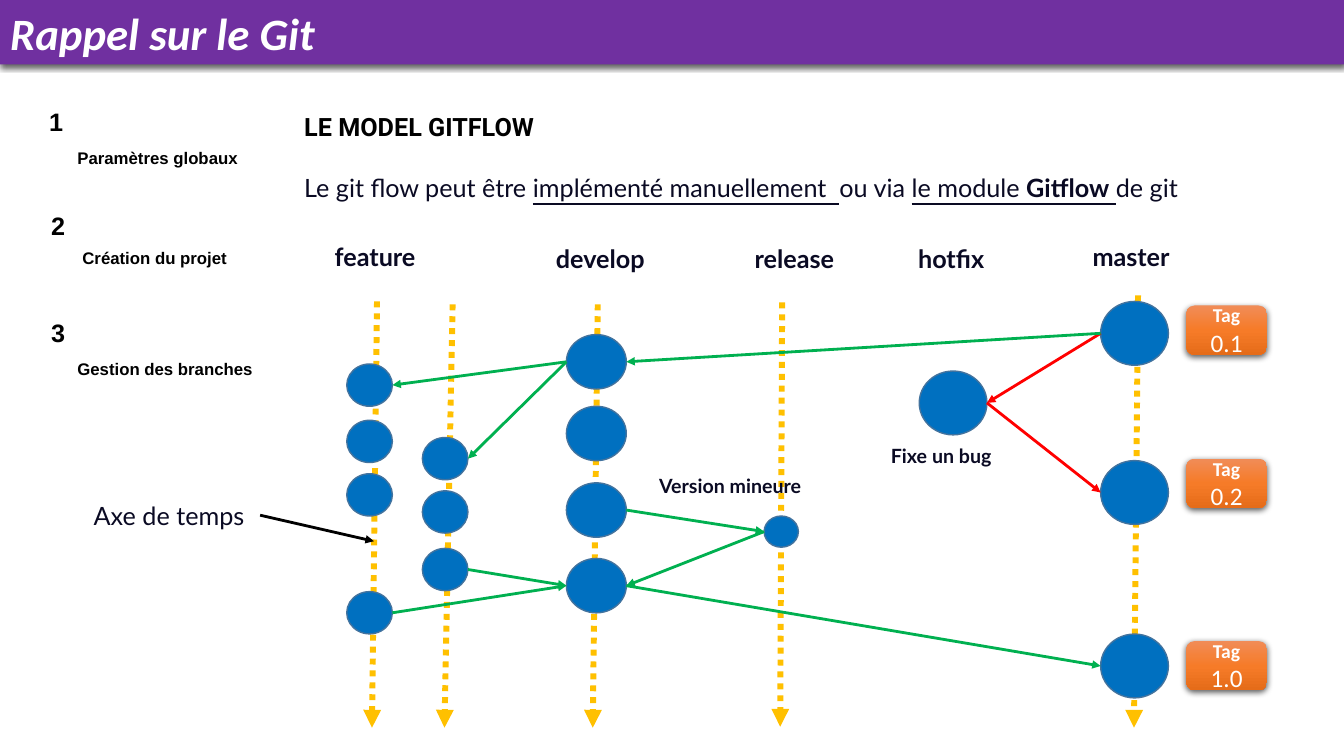
from collections import namedtuple
from copy import deepcopy

from lxml.etree import SubElement
from pptx import Presentation
from pptx.dml.color import RGBColor
from pptx.enum.dml import MSO_LINE
from pptx.enum.shapes import MSO_CONNECTOR as CONNECTOR, MSO_SHAPE as SHAPE
from pptx.enum.text import MSO_ANCHOR as ANCHOR, MSO_AUTO_SIZE as AUTO_SIZE, PP_ALIGN as ALIGN
from pptx.oxml.ns import qn
from pptx.util import Pt

COLORS = {
    "banner": "7030A0", "white": "FFFFFF", "black": "000000", "ink": "0A0A23",
    "commit": "0070C0", "outline": "43739E", "axis": "FFC000",
    "merge": "00B050", "fix": "FF0000",
    "tag_top": "F18C57", "tag_middle": "F67B28", "tag_bottom": "E56C19",
}
Box = namedtuple("Box", "left top width height")
ELLIPSE_SITES = {"left": 2, "right": 6}

# Everything in the graph is measured from the graph's top left corner.
BRANCH_LABELS = [("feature", 2, 1, 75), ("develop", 160, 2, 83.5), ("release", 302, 2, 77),
                 ("hotfix", 418.7, 2, 64), ("master", 543.3, 0.5, 74)]
AXES = [(582.9, 43, 580, 351.8), (328.7, 48, 327.3, 351.1), (197, 49.4, 193.4, 351.8),
        (93.3, 49.4, 87.5, 351.8), (39.3, 47.3, 35.7, 351.8)]
# branch: left, width, height, tops
COMMITS = {
    "master": (556.2, 48.4, 45.6, [47.3, 161, 284.9]),
    "hotfix": (426.6, 48.4, 45.6, [97]),
    "develop": (174.6, 42.8, 38.9, [71, 122.2, 176.9, 230.9]),
    "feature 2": (71.7, 32.6, 30.2, [144.5, 182.6, 223.7]),
    "release": (315.8, 24.5, 22.3, [200.6]),
    "feature 1": (17.7, 32.6, 30.2, [92, 132.2, 170.4, 254.6]),
}
# start branch, commit, side, end branch, commit, side, color
LINKS = [
    ("master", 0, "left", "hotfix", 0, "right", "fix"),
    ("hotfix", 0, "right", "master", 1, "left", "fix"),
    ("master", 0, "left", "develop", 0, "right", "merge"),
    ("develop", 0, "left", "feature 1", 0, "right", "merge"),
    ("develop", 0, "left", "feature 2", 0, "right", "merge"),
    ("develop", 2, "right", "release", 0, "left", "merge"),
    ("release", 0, "left", "develop", 3, "right", "merge"),
    ("feature 2", 2, "right", "develop", 3, "left", "merge"),
    ("feature 1", 3, "right", "develop", 3, "left", "merge"),
    ("develop", 3, "right", "master", 2, "left", "merge"),
]
TAGS = [("0.1", 50.2), ("0.2", 159.6), ("1.0", 289.9)]
# number, label, number left, number top, label left, label top, label width
STEPS = [("1", "Paramètres globaux", 0, 0, 20.1, 29.5, 130),
         ("2", "Création du projet", 1.4, 74.2, 23.7, 100.8, 119),
         ("3", "Gestion des branches", 1.4, 150.5, 20.1, 180, 141)]


def rgb(name):
    return RGBColor.from_string(COLORS[name])


def style_font(font, size, name, color, bold=False):
    font.size, font.name, font.bold = Pt(size), name, bold
    font.color.rgb = rgb(color)


def add_label(slide, text, box, size, name="Lato", color="ink", bold=True):
    label = slide.shapes.add_textbox(*map(Pt, box))
    frame = label.text_frame
    frame.word_wrap = False
    frame.auto_size = AUTO_SIZE.SHAPE_TO_FIT_TEXT
    paragraph = frame.paragraphs[0]
    paragraph.text = text
    style_font(paragraph.font, size, name, color, bold)
    return label


def add_arrow(slide, start, end, color, width=2, dash=None):
    """Draw an arrow between two points given as lengths."""
    arrow = slide.shapes.add_connector(CONNECTOR.STRAIGHT, *start, *end)
    arrow.line.color.rgb = rgb(color)
    arrow.line.width = Pt(width)
    if dash:
        arrow.line.dash_style = dash
    SubElement(arrow.line._get_or_add_ln(), qn("a:tailEnd"), type="triangle")
    SubElement(arrow._element.spPr, qn("a:effectLst"))
    return arrow


def add_drop_shadow(shape):
    shape.shadow.inherit = False
    effects = shape._element.spPr.find(qn("a:effectLst"))
    shadow = SubElement(effects, qn("a:outerShdw"), blurRad=str(Pt(4.5)), dist=str(Pt(1.5)),
                        dir="5400000", algn="ctr", rotWithShape="0")
    color = SubElement(shadow, qn("a:srgbClr"), val=COLORS["black"])
    SubElement(color, qn("a:alpha"), val="63000")


def add_banner(slide, text, box):
    title = slide.shapes.title
    title.left, title.top, title.width, title.height = map(Pt, box)
    title.fill.solid()
    title.fill.fore_color.rgb = rgb("banner")
    add_drop_shadow(title)
    frame = title.text_frame
    frame.auto_size = AUTO_SIZE.NONE
    frame.vertical_anchor = ANCHOR.MIDDLE
    paragraph = frame.paragraphs[0]
    paragraph.text = text
    paragraph.alignment = ALIGN.LEFT
    style_font(paragraph.font, 32, "Calibri", "white", bold=True)
    paragraph.font.italic = True


def add_steps(slide, box):
    for number, label, number_x, number_y, label_x, label_y, width in STEPS:
        number_box = Box(box.left + number_x, box.top + number_y, 24.5, 29)
        label_box = Box(box.left + label_x, box.top + label_y, width, 21.8)
        add_label(slide, number, number_box, 18, "Arial", "black")
        add_label(slide, label, label_box, 12, "Arial", "black")


def add_introduction(slide, box):
    frame = slide.shapes.add_textbox(*map(Pt, box)).text_frame
    frame.word_wrap = True
    heading = frame.paragraphs[0]
    heading.text = "LE MODEL GITFLOW"
    style_font(heading.font, 18, "Roboto", "black", bold=True)
    sentence = frame.add_paragraph()
    sentence.space_before = Pt(21.6)
    style_font(sentence.font, 18, "Lato", "ink")
    for text, underline, bold in [
        ("Le git flow peut être ", False, False), ("implémenté manuellement  ", True, False),
        ("ou via ", False, False), ("le module ", True, False), ("Gitflow", True, True),
        (" ", True, False), ("de git", False, False),
    ]:
        run = sentence.add_run()
        run.text = text
        run.font.underline, run.font.bold = underline, bold


def add_commit(slide, box):
    commit = slide.shapes.add_shape(SHAPE.OVAL, *map(Pt, box))
    commit.shadow.inherit = False
    commit.fill.solid()
    commit.fill.fore_color.rgb = rgb("commit")
    commit.line.color.rgb = rgb("outline")
    commit.line.width = Pt(1)
    return commit


def add_link(slide, start, start_side, end, end_side, color):
    """Join the sides of two commits with an arrow glued at both ends."""
    points = [(commit.left + (commit.width if side == "right" else 0),
               commit.top + commit.height // 2)
              for commit, side in ((start, start_side), (end, end_side))]
    arrow = add_arrow(slide, *points, color)
    joints = arrow._element.nvCxnSpPr.cNvCxnSpPr
    for joint, commit, side in ((joints.get_or_add_stCxn(), start, start_side),
                                (joints.get_or_add_endCxn(), end, end_side)):
        joint.id, joint.idx = commit.shape_id, ELLIPSE_SITES[side]


def add_tag(slide, version, box):
    tag = slide.shapes.add_shape(SHAPE.ROUNDED_RECTANGLE, *map(Pt, box))
    tag.fill.gradient()
    tag.fill.gradient_angle = 270
    first = tag._element.spPr.find(".//" + qn("a:gs"))
    first.addnext(deepcopy(first))
    shades = ("tag_top", "tag_middle", "tag_bottom")
    for stop, shade, position in zip(tag.fill.gradient_stops, shades, (0, 0.5, 1)):
        stop.color.rgb = rgb(shade)
        stop.position = position
    tag.line.fill.background()
    add_drop_shadow(tag)
    tag.text_frame.vertical_anchor = ANCHOR.MIDDLE
    paragraph = tag.text_frame.paragraphs[0]
    paragraph.alignment = ALIGN.CENTER
    for text, size, bold in (("Tag ", 14, True), (version, 18, False)):
        run = paragraph.add_run()
        run.text = text
        style_font(run.font, size, "Calibri", "white", bold)


def add_branch_graph(slide, box):
    def place(left, top, width, height):
        return Box(box.left + left, box.top + top, width, height)

    for x1, y1, x2, y2 in AXES:
        start = Pt(box.left + x1), Pt(box.top + y1)
        end = Pt(box.left + x2), Pt(box.top + y2)
        add_arrow(slide, start, end, "axis", 4.25, MSO_LINE.ROUND_DOT)
    for name, left, top, width in BRANCH_LABELS:
        add_label(slide, name, place(left, top, width, 29), 18)
    commits = {branch: [add_commit(slide, place(left, top, width, height)) for top in tops]
               for branch, (left, width, height, tops) in COMMITS.items()}
    for source, i, source_side, target, j, target_side, color in LINKS:
        add_link(slide, commits[source][i], source_side, commits[target][j], target_side, color)
    for version, top in TAGS:
        add_tag(slide, version, place(617.4, top, 57.6, 35.3))
    add_label(slide, "Fixe un bug", place(399.3, 145.9, 93.6, 24.5), 14)
    add_label(slide, "Version mineure", place(233.7, 166.8, 124.6, 24.5), 14)


def add_axis_note(slide, box):
    note = add_label(slide, "Axe de temps", box, 18, bold=False)
    right, middle = box.left + box.width, box.top + box.height / 2
    arrow = add_arrow(slide, (Pt(right), Pt(middle)), (Pt(right + 81.3), Pt(middle + 18.6)), "black")
    arrow.begin_connect(note, 3)


def main():
    presentation = Presentation()
    presentation.slide_width, presentation.slide_height = Pt(960), Pt(540)
    slide = presentation.slides.add_slide(presentation.slide_layouts[5])
    add_banner(slide, "Rappel sur le Git", Box(0, 0, 960, 46))
    add_steps(slide, Box(28.1, 72.7, 162, 202))
    add_introduction(slide, Box(210.2, 76.3, 702, 116.6))
    add_branch_graph(slide, Box(230, 168, 675, 352))
    add_axis_note(slide, Box(59.8, 353.5, 126, 29))
    presentation.save("out.pptx")


if __name__ == "__main__":
    main()
